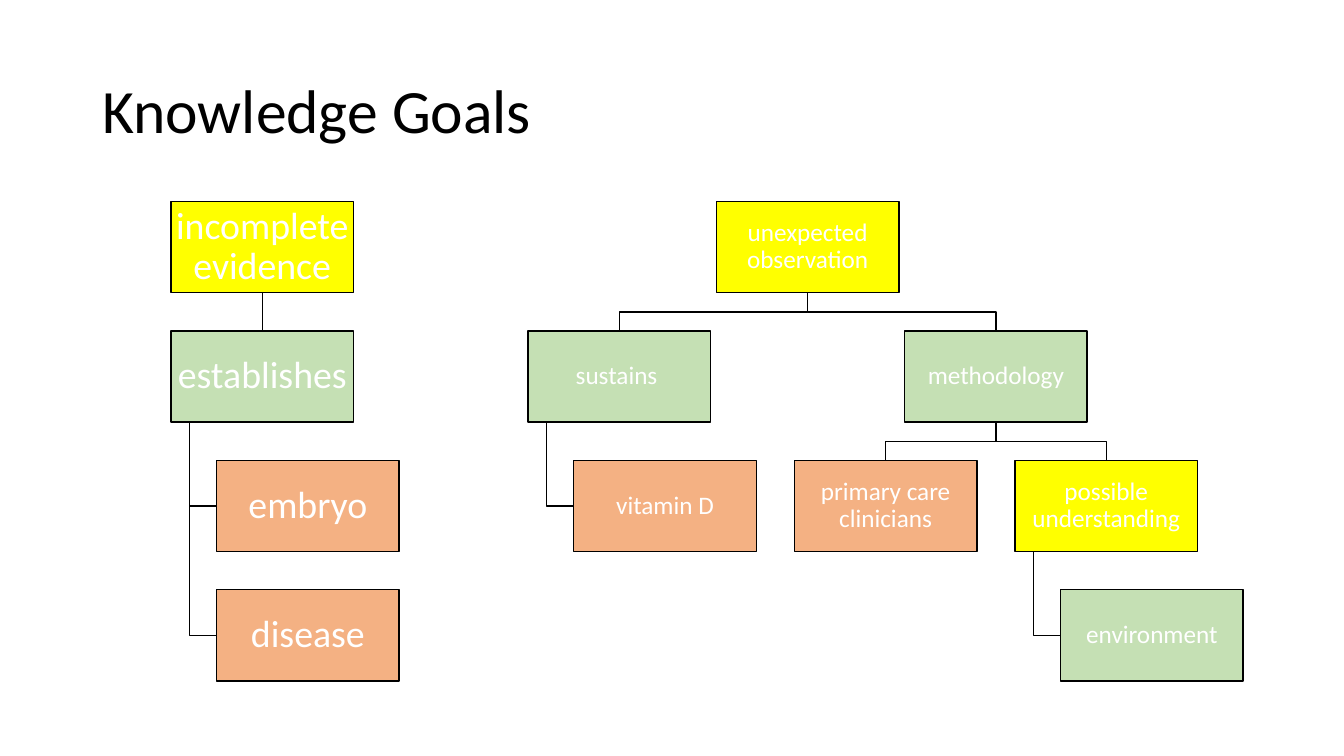
from dataclasses import dataclass

from pptx import Presentation
from pptx.dml.color import RGBColor
from pptx.enum.shapes import MSO_CONNECTOR, MSO_SHAPE
from pptx.enum.text import MSO_ANCHOR, PP_ALIGN
from pptx.oxml.ns import qn
from pptx.util import Cm, Pt
from lxml.etree import SubElement

COLORS = {
    "black": "000000",
    "white": "FFFFFF",
    "yellow": "FFFF00",
    "green": "C5E0B4",
    "orange": "F4B183",
}
FONT = "Calibri"
BOX_WIDTH, BOX_HEIGHT, GAP = 4.6, 2.3, 0.96
INDENT = BOX_WIDTH / 4
STEM = BOX_WIDTH / 10


@dataclass
class Node:
    text: str
    color: str
    children: tuple = ()

    def hangs(self):
        """Children that are all leaves hang in a column below their parent."""
        return not any(child.children for child in self.children)


EVIDENCE = Node("incomplete evidence", "yellow", (
    Node("establishes", "green", (
        Node("embryo", "orange"),
        Node("disease", "orange"))),))
OBSERVATION = Node("unexpected observation", "yellow", (
    Node("sustains ", "green", (Node("vitamin D", "orange"),)),
    Node("methodology", "green", (
        Node("primary care clinicians", "orange"),
        Node("possible understanding", "yellow", (
            Node("environment", "green"),)))),))


def rgb(name):
    return RGBColor.from_string(COLORS[name])


def style_line(shape):
    shape.line.color.rgb = rgb("black")
    shape.line.width = Pt(1)


def write(shape, text, size, color):
    frame = shape.text_frame
    frame.word_wrap = True
    frame.vertical_anchor = MSO_ANCHOR.MIDDLE
    paragraph = frame.paragraphs[0]
    paragraph.text = text
    paragraph.line_spacing = 0.9
    paragraph.font.name = FONT
    paragraph.font.size = Pt(size)
    paragraph.font.color.rgb = rgb(color)
    return paragraph


def add_title(slide, text, left, top, width, height):
    shape = slide.shapes.add_textbox(Cm(left), Cm(top), Cm(width), Cm(height))
    write(shape, text, 44, "black")


def add_box(slide, node, left, top, size, inset):
    shape = slide.shapes.add_shape(
        MSO_SHAPE.RECTANGLE, Cm(left), Cm(top), Cm(BOX_WIDTH), Cm(BOX_HEIGHT))
    shape.shadow.inherit = False
    shape.fill.solid()
    shape.fill.fore_color.rgb = rgb(node.color)
    style_line(shape)
    write(shape, node.text, size, "white").alignment = PP_ALIGN.CENTER
    frame = shape.text_frame
    frame.margin_left = frame.margin_right = Cm(inset)
    frame.margin_top = frame.margin_bottom = Cm(inset)
    return shape


def add_bent_line(slide, points):
    start, *others = [(Cm(x), Cm(y)) for x, y in points]
    builder = slide.shapes.build_freeform(*start)
    builder.add_line_segments(others, close=False)
    shape = builder.convert_to_shape()
    shape.shadow.inherit = False
    shape.fill.background()
    style_line(shape)


def add_straight_line(slide, parent, child):
    connector = slide.shapes.add_connector(MSO_CONNECTOR.STRAIGHT, 0, 0, 0, 0)
    connector.begin_connect(parent, 2)
    connector.end_connect(child, 0)
    style_line(connector)
    SubElement(connector._element.spPr, qn("a:effectLst"))


def add_tree(slide, node, left, top, size, inset):
    """Draw a node and its descendants; return its box, left and right edge."""
    bottom = top + BOX_HEIGHT
    if node.hangs():
        box = add_box(slide, node, left, top, size, inset)
        right = left + BOX_WIDTH
        for row, child in enumerate(node.children, 1):
            child_top = top + row * (BOX_HEIGHT + GAP)
            middle = child_top + BOX_HEIGHT / 2
            add_bent_line(slide, [(left + STEM, bottom), (left + STEM, middle),
                                  (left + INDENT, middle)])
            add_box(slide, child, left + INDENT, child_top, size, inset)
            right = left + INDENT + BOX_WIDTH
        return box, left, right

    branches = []
    next_left = left
    for child in node.children:
        branch = add_tree(slide, child, next_left, bottom + GAP, size, inset)
        branches.append(branch)
        next_left = branch[2] + GAP
    box_left = (branches[0][1] + branches[-1][1]) / 2
    box = add_box(slide, node, box_left, top, size, inset)
    center = box_left + BOX_WIDTH / 2
    for child_box, child_left, _ in branches:
        if len(branches) == 1:
            add_straight_line(slide, box, child_box)
        else:
            child_center = child_left + BOX_WIDTH / 2
            bend = bottom + GAP / 2
            add_bent_line(slide, [(center, bottom), (center, bend),
                                  (child_center, bend),
                                  (child_center, bottom + GAP)])
    return box, box_left, branches[-1][2]


def main():
    presentation = Presentation()
    presentation.slide_width = Cm(33.87)
    presentation.slide_height = Cm(19.05)
    slide = presentation.slides.add_slide(presentation.slide_layouts[6])
    add_title(slide, "Knowledge Goals", 2.33, 1.01, 29.21, 3.68)
    add_tree(slide, EVIDENCE, 4.31, 5.08, size=27, inset=0.05)
    add_tree(slide, OBSERVATION, 13.31, 5.08, size=18, inset=0.03)
    presentation.save("out.pptx")


if __name__ == "__main__":
    main()
